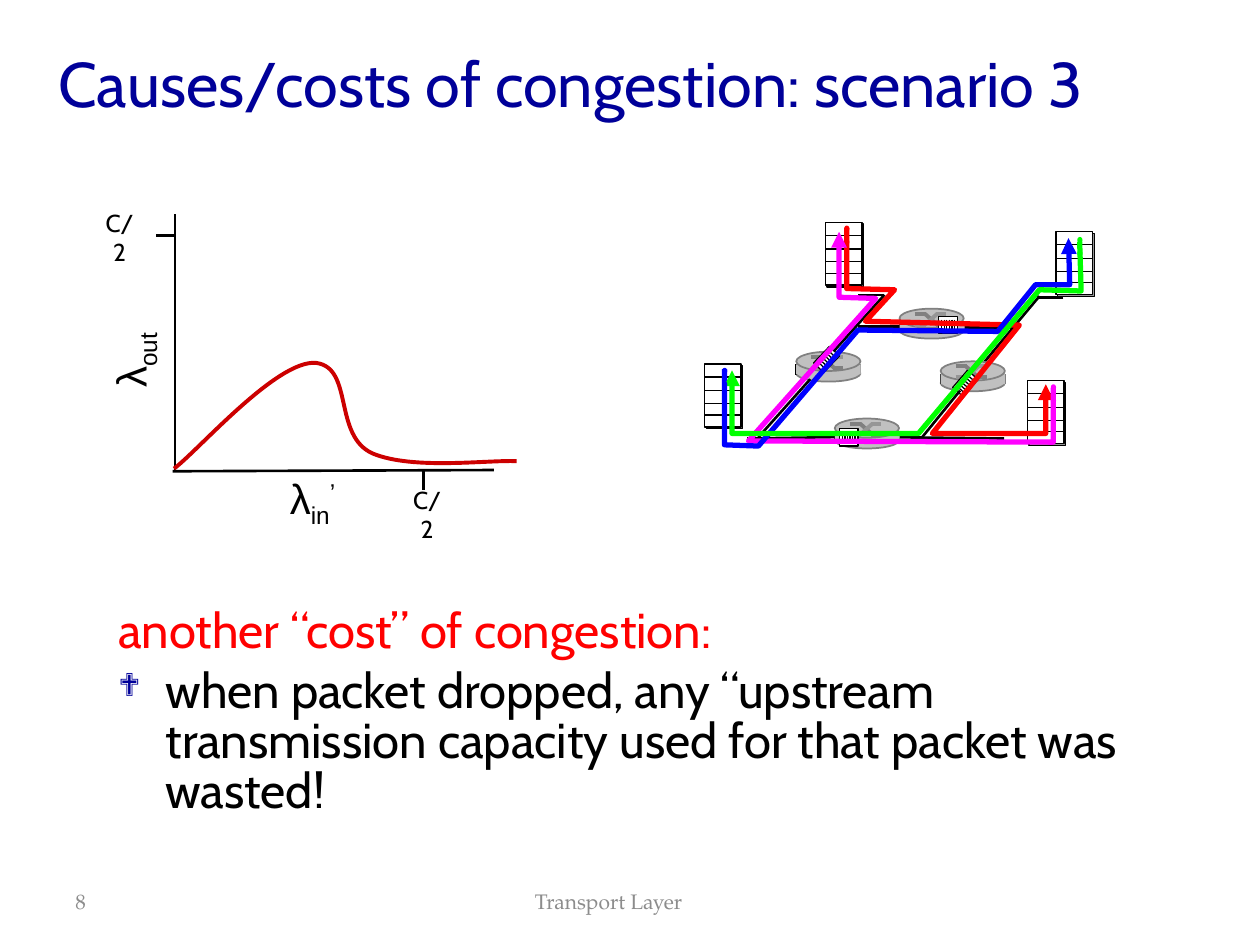
from math import cos, radians, sin

from lxml.etree import SubElement
from pptx import Presentation
from pptx.dml.color import RGBColor
from pptx.enum.shapes import MSO_CONNECTOR, MSO_SHAPE
from pptx.enum.text import MSO_ANCHOR, PP_ALIGN
from pptx.oxml.ns import qn
from pptx.util import Pt

BLACK = RGBColor(0x00, 0x00, 0x00)
WHITE = RGBColor(0xFF, 0xFF, 0xFF)
NAVY = RGBColor(0x00, 0x00, 0x99)
RED = RGBColor(0xFF, 0x00, 0x00)
PINK = RGBColor(0xFF, 0x00, 0xFF)
BLUE = RGBColor(0x00, 0x00, 0xFF)
GREEN = RGBColor(0x00, 0xFF, 0x00)
CURVE = RGBColor(0xCC, 0x00, 0x00)
SILVER = RGBColor(0xC0, 0xC0, 0xC0)
GRAY = RGBColor(0x80, 0x80, 0x80)
SHADE = RGBColor(0x96, 0x96, 0x96)
FOOT = RGBColor(0x8C, 0x8C, 0x8C)


class Deck:
    sans = "Cabin"
    serif = "TeX Gyre Pagella"
    greek = "Arial"

    def __init__(self, slide):
        self.slide = slide
        self.shapes = slide.shapes

    def place(self, shape, x, y, wide, high):
        shape.left, shape.top = Pt(x), Pt(y)
        shape.width, shape.height = Pt(wide), Pt(high)

    def add(self, para, text, size, color, font=None, base=0):
        run = para.add_run()
        run.text = text
        run.font.size = Pt(size)
        run.font.name = font or self.sans
        run.font.color.rgb = color
        if base:
            run.font._element.set("baseline", str(base * 1000))

    def title(self, text, x, y, wide, high):
        shape = self.shapes.title
        self.place(shape, x, y, wide, high)
        shape.text_frame.vertical_anchor = MSO_ANCHOR.MIDDLE
        para = shape.text_frame.paragraphs[0]
        para.alignment = PP_ALIGN.LEFT
        self.add(para, text, 36, NAVY)
        self.add(para, " ", 44, NAVY)

    def box(self, x, y, wide, high, align=PP_ALIGN.CENTER,
            anchor=MSO_ANCHOR.TOP, turn=0):
        shape = self.shapes.add_textbox(Pt(x), Pt(y), Pt(wide), Pt(high))
        shape.rotation = turn
        frame = shape.text_frame
        frame.word_wrap = True
        frame.vertical_anchor = anchor
        frame.paragraphs[0].alignment = align
        return frame

    def indent(self, para, depth, mark=None):
        para.line_spacing = 0.85
        props = para._p.get_or_add_pPr()
        props.set("marL", str(Pt(depth)))
        props.set("indent", str(-Pt(depth)))
        if mark:
            tint = SubElement(props, qn("a:buClr"))
            SubElement(tint, qn("a:srgbClr"), val=str(NAVY))
            SubElement(props, qn("a:buSzPct"), val="65000")
            SubElement(props, qn("a:buFont"), typeface="Wingdings")
            SubElement(props, qn("a:buChar"), char=mark)

    def line(self, x1, y1, x2, y2, color=BLACK, width=1.5):
        wire = self.shapes.add_connector(
            MSO_CONNECTOR.STRAIGHT, Pt(x1), Pt(y1), Pt(x2), Pt(y2))
        wire.line.color.rgb = color
        wire.line.width = Pt(width)
        SubElement(wire._element.spPr, qn("a:effectLst"))

    def form(self, kind, x, y, wide, high, fill, edge=None, width=0.75, turn=0):
        shape = self.shapes.add_shape(kind, Pt(x), Pt(y), Pt(wide), Pt(high))
        shape.shadow.inherit = False
        shape.rotation = turn
        shape.fill.solid()
        shape.fill.fore_color.rgb = fill
        if edge is None:
            shape.line.fill.background()
        else:
            shape.line.color.rgb = edge
            shape.line.width = Pt(width)

    def trace(self, points, color, width):
        spots = [(Pt(x), Pt(y)) for x, y in points]
        pen = self.shapes.build_freeform(*spots[0], scale=1)
        pen.add_line_segments(spots[1:], close=False)
        shape = pen.convert_to_shape()
        shape.shadow.inherit = False
        shape.fill.background()
        shape.line.color.rgb = color
        shape.line.width = Pt(width)
        return shape

    def route(self, points, color):
        shape = self.trace(points, color, 3)
        edge = next(shape._element.iter(qn("a:ln")))
        SubElement(edge, qn("a:tailEnd"), type="triangle")

    def curve(self, points, color, width):
        shape = self.trace(points, color, width)
        track = next(shape._element.iter(qn("a:path")))
        steps = track.findall(qn("a:lnTo"))
        for first in range(0, len(steps), 3):
            bend = SubElement(track, qn("a:cubicBezTo"))
            for step in steps[first:first + 3]:
                bend.append(step[0])
                track.remove(step)

    def host(self, x, y):
        for shift, fill in ((1, SHADE), (0, WHITE)):
            self.form(MSO_SHAPE.RECTANGLE, x + shift, y + shift, 21, 36, fill, BLACK)
        for drop in (7.5, 15.3, 22.6, 29.2):
            self.line(x, y + drop, x + 21, y + drop, width=0.75)

    def router(self, x, y):
        self.form(MSO_SHAPE.OVAL, x, y + 7.7, 36.7, 9.4, SILVER, GRAY, 1)
        for side, color in ((0, BLACK), (36.7, GRAY)):
            self.line(x + side, y + 7.2, x + side, y + 13.2, color, 1)
        for side, wide in ((0, 8.6), (26, 10.8)):
            self.form(MSO_SHAPE.RECTANGLE, x + side, y + 7.2, wide, 5.8, SILVER)
        self.form(MSO_SHAPE.OVAL, x, y, 36.7, 11, SILVER, GRAY, 1)
        for color, start, end in ((GRAY, 2.9, 9.2), (SHADE, 9.2, 2.9)):
            self.line(x + 8.6, y + start, x + 15, y + start, color, 2.25)
            self.line(x + 21, y + end, x + 26.6, y + end, color, 2.25)
            self.line(x + 14.5, y + start, x + 21.6, y + end, color, 2.25)

    def queue(self, x, y, wide, high, turn=0):
        self.form(MSO_SHAPE.RECTANGLE, x - wide / 2, y - high / 2, wide, high,
                  WHITE, BLACK, turn=turn)
        dx, dy = cos(radians(turn)), sin(radians(turn))
        half = 0.32 * high
        for step in range(6):
            along = (step - 2.5) * 0.135 * wide
            cx, cy = x + along * dx, y + along * dy
            self.line(cx + half * dy, cy - half * dx,
                      cx - half * dy, cy + half * dx, width=0.75)

    def dots(self, x, y, color):
        for drop in (0, 7.6):
            self.form(MSO_SHAPE.OVAL, x, y + drop, 3, 3.6, color)


def main():
    show = Presentation()
    show.slide_width, show.slide_height = Pt(720), Pt(540)
    deck = Deck(show.slides.add_slide(show.slide_layouts[5]))
    deck.title("Causes/costs of congestion: scenario 3", 26, 9.4, 612, 68.4)

    frame = deck.box(60.5, 344.2, 612.7, 77.8, PP_ALIGN.LEFT)
    para = frame.paragraphs[0]
    deck.indent(para, 27)
    deck.add(para, "another “cost” of congestion:", 28, RED)
    para = frame.add_paragraph()
    para.space_before = Pt(5.6)
    deck.indent(para, 27, "❖")
    deck.add(para, "when packet dropped, any “upstream transmission capacity "
             "used for that packet was wasted!", 28, BLACK)

    for road in ((505.4, 168.5, 473, 204.5), (505.4, 168.5, 490.3, 168.5),
                 (476.6, 249.8, 427, 250.6), (514.8, 186.5, 490.3, 186.5),
                 (578.2, 187.2, 551.5, 187.2), (594, 169.2, 549.4, 222.5),
                 (607.7, 169.9, 592.6, 169.9)):
        deck.line(*road)
    for spot in ((471.6, 127), (402.5, 208), (603.5, 132.4), (587, 217.5)):
        deck.host(*spot)

    deck.router(514, 176.4)
    deck.queue(541.8, 185.8, 10.8, 10)
    deck.dots(482.4, 128.9, RED)
    deck.router(537.5, 206.5)
    deck.queue(551.6, 219.1, 13, 8, 130.7)
    deck.line(573.8, 250.6, 505.4, 249.8)
    deck.line(548.6, 223.2, 527, 249.8)
    deck.route([(483.8, 130.3), (483.8, 164.9), (511.2, 165.6), (494.6, 183.6),
                (582.5, 185.8), (532.8, 247.7), (597.6, 247.7), (597.6, 219.6)], RED)
    deck.router(477, 239.2)
    deck.queue(485, 249.8, 10.8, 10)
    deck.router(455, 201)
    deck.line(463, 216.7, 433.4, 249.8)
    deck.queue(472.3, 205.4, 13, 8, 133.8)
    deck.route([(601.9, 221.8), (601.9, 252.7), (427.7, 252), (500.4, 170.6),
                (479.5, 169.9), (479.5, 132.5)], PINK)
    deck.route([(414, 211), (414, 254.2), (433.4, 254.9), (490.3, 188.6),
                (570.2, 189.4), (591.8, 162.7), (611.3, 162.7), (610.6, 136.1)], BLUE)
    deck.route([(617, 138.2), (617.8, 166.3), (594, 165.6), (524.9, 247.7),
                (418.3, 247.7), (418.3, 211.7)], GREEN)
    deck.dots(412.6, 210.2, BLUE)
    deck.dots(600.5, 219.6, PINK)
    deck.dots(615.6, 135.4, GREEN)

    for axis in ((100.1, 122.4, 100.1, 269.3), (98.6, 269.3, 282.2, 268.6),
                 (89.3, 134.6, 99.4, 134.6), (241.9, 269.3, 241.9, 280.1)):
        deck.line(*axis)
    deck.curve([(99.4, 267.8), (113, 257.8), (158.4, 205.2), (180.7, 207.4),
                (202.3, 210.2), (190.1, 249.1), (213.1, 259.2),
                (236.2, 268.6), (277.9, 262.8), (295.2, 263.5)], CURVE, 2.25)
    for x, y in ((50.4, 115.2), (226.1, 273.6)):
        deck.add(deck.box(x, y, 36, 23.8).paragraphs[0], "C/2", 14, BLACK)

    para = deck.box(42.5, 187.9, 63.4, 36, turn=270).paragraphs[0]
    deck.add(para, "λ", 24, BLACK, deck.greek)
    deck.add(para, "out", 24, BLACK, deck.greek, -25)
    frame = deck.box(157, 266.4, 43.2, 36)
    frame.word_wrap = False
    para = frame.paragraphs[0]
    deck.add(para, "λ", 24, BLACK, deck.greek)
    deck.add(para, "in", 24, BLACK, deck.greek, -25)
    deck.add(para, "’", 24, BLACK, deck.greek, 30)

    for text, x, wide, align in (("8", 36, 84.2, PP_ALIGN.LEFT),
                                 ("Transport Layer", 131.8, 432, PP_ALIGN.CENTER)):
        frame = deck.box(x, 500.4, wide, 28.8, align, MSO_ANCHOR.MIDDLE)
        deck.add(frame.paragraphs[0], text, 12, FOOT, deck.serif)

    show.save("out.pptx")


if __name__ == "__main__":
    main()
